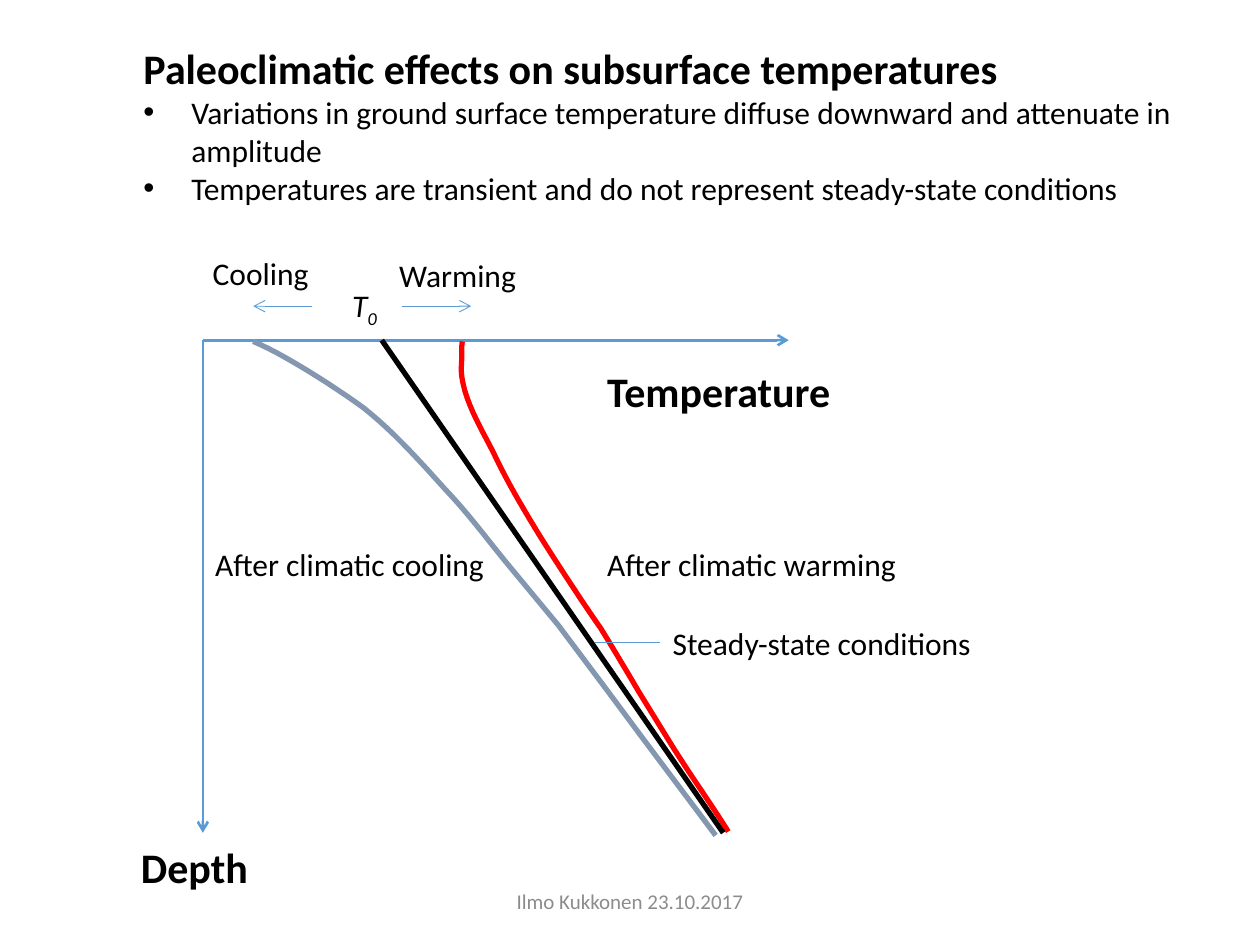
from lxml import etree
from pptx import Presentation
from pptx.dml.color import RGBColor
from pptx.enum.shapes import MSO_CONNECTOR
from pptx.enum.text import MSO_ANCHOR, MSO_AUTO_SIZE, PP_ALIGN
from pptx.oxml.ns import qn
from pptx.util import Inches, Pt

STRAIGHT = MSO_CONNECTOR.STRAIGHT
FIT_SHAPE = MSO_AUTO_SIZE.SHAPE_TO_FIT_TEXT
MIDDLE = MSO_ANCHOR.MIDDLE
CENTER = PP_ALIGN.CENTER

BLACK = RGBColor(0x00, 0x00, 0x00)
BLUE = RGBColor(0x5B, 0x9B, 0xD5)
RED = RGBColor(0xFF, 0x00, 0x00)
SLATE = RGBColor(0x84, 0x97, 0xB0)
GRAY = RGBColor(0x8C, 0x8C, 0x8C)

FONT = "Calibri"
HEADING = 24
BODY = 18
INDENT = 0.38
STEPS = 12

ORIGIN_X, SURFACE_Y, BOTTOM_Y = 1.61, 2.7, 6.61
ARROW_Y = 2.43
LEADER_Y = 5.1

# Each segment holds two control points and an end, or only the end if straight.
WARMING_START = (3.67, 2.71)
WARMING_SEGMENTS = [
    [(3.66, 2.75), (3.67, 2.82), (3.66, 2.93)],
    [(3.67, 3.16), (3.81, 3.38), (3.92, 3.6)],
    [(4.02, 3.81), (4.13, 4), (4.27, 4.23)],
    [(4.42, 4.47), (4.63, 4.79), (4.77, 4.99)],
    [(4.9, 5.2), (5.07, 5.49), (5.07, 5.49)],
    [(5.31, 5.88)],
    [(5.47, 6.14), (5.63, 6.36), (5.78, 6.6)],
]
COOLING_START = (2.01, 2.71)
COOLING_SEGMENTS = [
    [(2.23, 2.8), (2.63, 3.05), (2.89, 3.24)],
    [(3.14, 3.44), (3.35, 3.68), (3.54, 3.89)],
    [(3.73, 4.09), (3.89, 4.31), (4.04, 4.49)],
    [(4.43, 4.96)],
    [(4.79, 5.44)],
    [(5.08, 5.83)],
    [(5.68, 6.63)],
]

LABELS = [
    ("Temperature", 4.72, 2.85, 1.99, HEADING),
    ("Depth", 1.02, 6.63, 1.06, HEADING),
    ("Cooling", 1.59, 1.97, 0.97, BODY),
    ("Warming", 3.07, 1.98, 1.14, BODY),
    ("Steady-state conditions", 5.24, 4.9, 2.6, BODY),
    ("After climatic warming", 4.72, 4.28, 2.53, BODY),
    ("After climatic cooling", 1.61, 4.28, 2.37, BODY),
]

TITLE = "Paleoclimatic effects on subsurface temperatures"
BULLETS = [
    "Variations in ground surface temperature diffuse downward and attenuate in amplitude",
    "Temperatures are transient and do not represent steady-state conditions",
]


def add_box(page, left, top, width, height, wrap=True):
    box = page.shapes.add_textbox(Inches(left), Inches(top), Inches(width), Inches(height))
    box.text_frame.word_wrap = wrap
    box.text_frame.auto_size = FIT_SHAPE
    return box.text_frame


def style_runs(para, size, color=BLACK, bold=False, italic=False):
    for span in para.runs:
        font = span.font
        font.name, font.size = FONT, Pt(size)
        font.bold, font.italic = bold, italic
        font.color.rgb = color


def add_label(page, text, left, top, width, size):
    frame = add_box(page, left, top, width, 0.5 if size == HEADING else 0.4, wrap=False)
    frame.text = text
    style_runs(frame.paragraphs[0], size, bold=size == HEADING)


def add_bullet(para):
    properties = para._p.get_or_add_pPr()
    properties.set("marL", str(Inches(INDENT)))
    properties.set("indent", str(-Inches(INDENT)))
    etree.SubElement(properties, qn("a:buFont")).set("typeface", "Arial")
    etree.SubElement(properties, qn("a:buChar")).set("char", "•")


def add_heading(page):
    frame = add_box(page, 1.04, 0.29, 8.61, 1.41)
    frame.text = TITLE
    style_runs(frame.paragraphs[0], HEADING, bold=True)
    for text in BULLETS:
        para = frame.add_paragraph()
        para.text = text
        add_bullet(para)
        style_runs(para, BODY)


def add_surface_temperature(page):
    """Add the symbol T with a subscript zero."""
    para = add_box(page, 2.64, 2.22, 0.55, 0.4).paragraphs[0]
    para.text = " T"
    subscript = para.add_run()
    subscript.text = "0"
    style_runs(para, BODY, italic=True)
    subscript.font._element.set("baseline", "-25000")


def add_footer(page):
    frame = add_box(page, 3.31, 6.95, 3.38, 0.4)
    frame.auto_size = MSO_AUTO_SIZE.NONE
    frame.vertical_anchor = MIDDLE
    frame.text = "Ilmo Kukkonen 23.10.2017"
    frame.paragraphs[0].alignment = CENTER
    style_runs(frame.paragraphs[0], 12, GRAY)


def add_line(page, start, end, color, width, arrow=False):
    ends = [Inches(value) for value in (*start, *end)]
    line = page.shapes.add_connector(STRAIGHT, *ends)
    line.line.color.rgb = color
    line.line.width = Pt(width)
    if arrow:
        etree.SubElement(line.line._get_or_add_ln(), qn("a:tailEnd")).set("type", "arrow")
    etree.SubElement(line._element.spPr, qn("a:effectLst"))


def bezier_point(points, t):
    weights = ((1 - t) ** 3, 3 * t * (1 - t) ** 2, 3 * t * t * (1 - t), t ** 3)
    return tuple(sum(w * point[axis] for w, point in zip(weights, points)) for axis in (0, 1))


def trace_curve(start, segments):
    """Return the points along a chain of Bezier and straight segments."""
    points = [start]
    for segment in segments:
        if len(segment) == 1:
            points += segment
        else:
            controls = [points[-1], *segment]
            points += [bezier_point(controls, step / STEPS) for step in range(1, STEPS + 1)]
    return points


def add_curve(page, start, segments, color):
    points = [(Inches(x), Inches(y)) for x, y in trace_curve(start, segments)]
    builder = page.shapes.build_freeform(*points[0])
    builder.add_line_segments(points[1:], close=False)
    curve = builder.convert_to_shape()
    curve.shadow.inherit = False
    curve.fill.background()
    curve.line.color.rgb = color
    curve.line.width = Pt(3)


def main():
    deck = Presentation()
    deck.slide_width, deck.slide_height = Inches(10), Inches(7.5)
    page = deck.slides.add_slide(deck.slide_layouts[6])

    origin = (ORIGIN_X, SURFACE_Y)
    add_line(page, origin, (6.26, SURFACE_Y), BLUE, 1.5, arrow=True)
    add_line(page, origin, (ORIGIN_X, BOTTOM_Y), BLUE, 1.5, arrow=True)
    add_surface_temperature(page)
    add_heading(page)
    add_curve(page, WARMING_START, WARMING_SEGMENTS, RED)
    add_curve(page, COOLING_START, COOLING_SEGMENTS, SLATE)
    add_line(page, (3.03, SURFACE_Y), (5.74, BOTTOM_Y), BLACK, 3)
    for start_x, end_x in ((2.48, 2.01), (3.19, 3.74)):
        add_line(page, (start_x, ARROW_Y), (end_x, ARROW_Y), BLUE, 0.5, arrow=True)
    for label in LABELS:
        add_label(page, *label)
    add_line(page, (5.24, LEADER_Y), (4.72, LEADER_Y), BLUE, 0.5)
    add_footer(page)
    deck.save("out.pptx")


if __name__ == "__main__":
    main()
